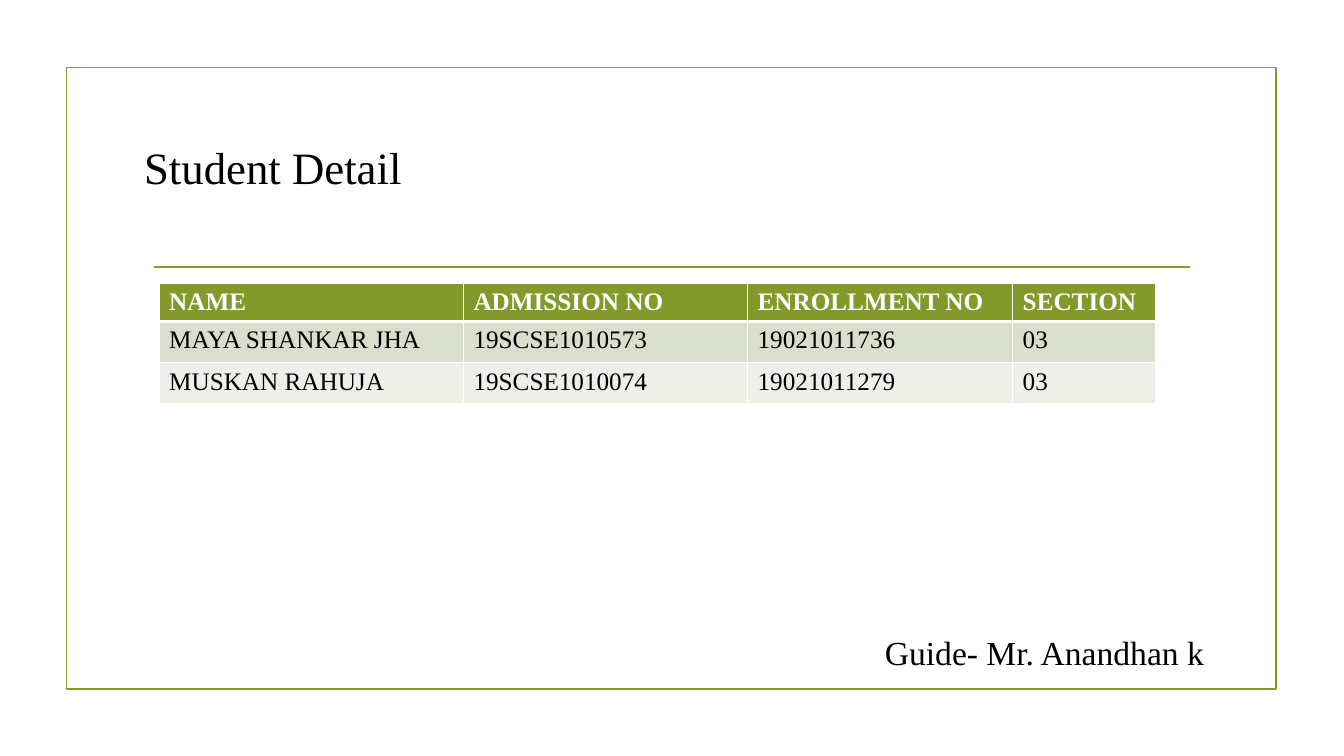
from lxml import etree
from pptx import Presentation
from pptx.dml.color import RGBColor
from pptx.enum.shapes import MSO_CONNECTOR, MSO_SHAPE
from pptx.enum.text import MSO_AUTO_SIZE, PP_ALIGN
from pptx.oxml.ns import qn
from pptx.util import Cm, Pt

RECTANGLE = MSO_SHAPE.RECTANGLE
STRAIGHT = MSO_CONNECTOR.STRAIGHT
FIT_SHAPE = MSO_AUTO_SIZE.SHAPE_TO_FIT_TEXT
LEFT, CENTER = PP_ALIGN.LEFT, PP_ALIGN.CENTER

COLORS = {
    "green": "83992A",
    "band_dark": "D9DECD",
    "band_light": "EDEFE8",
    "white": "FFFFFF",
    "black": "000000",
}

STUDENTS = [
    ["NAME", "ADMISSION NO", "ENROLLMENT NO", "SECTION"],
    ["MAYA SHANKAR JHA", "19SCSE1010573", "19021011736", "03"],
    ["MUSKAN RAHUJA", "19SCSE1010074", "19021011279", "03"],
]
COLUMN_WIDTHS = [7.67, 7.16, 6.68, 3.61]
ROW_HEIGHTS = [0.94, 1.04, 1.04]


def rgb(name):
    return RGBColor.from_string(COLORS[name])


def write_text(frame, text, size=18, color="black", bold=False, align=LEFT):
    para = frame.paragraphs[0]
    para.alignment = align
    span = para.add_run()
    span.text = text
    span.font.name = "Times New Roman"
    span.font.size = Pt(size)
    span.font.bold = bold
    span.font.color.rgb = rgb(color)


def set_borders(cell, color="white", width=1, bottom=1):
    properties = cell._tc.get_or_add_tcPr()
    for side in ("L", "R", "T", "B"):
        points = bottom if side == "B" else width
        line = etree.SubElement(properties, qn(f"a:ln{side}"), w=str(Pt(points)))
        fill = etree.SubElement(line, qn("a:solidFill"))
        etree.SubElement(fill, qn("a:srgbClr"), val=COLORS[color])


class SlideBuilder:
    def __init__(self, slide, accent="green", line_width=1.25):
        self.slide = slide
        self.accent = accent
        self.line_width = line_width

    def style_line(self, line):
        line.color.rgb = rgb(self.accent)
        line.width = Pt(self.line_width)

    def frame(self, left, top, width, height):
        box = self.slide.shapes.add_shape(
            RECTANGLE, Cm(left), Cm(top), Cm(width), Cm(height))
        box.shadow.inherit = False
        box.fill.background()
        self.style_line(box.line)

    def rule(self, left, right, y):
        rule = self.slide.shapes.add_connector(
            STRAIGHT, Cm(left), Cm(y), Cm(right), Cm(y))
        self.style_line(rule.line)
        etree.SubElement(rule._element.spPr, qn("a:effectLst"))

    def text(self, text, left, top, width, height, **style):
        box = self.slide.shapes.add_textbox(
            Cm(left), Cm(top), Cm(width), Cm(height))
        box.text_frame.word_wrap = False
        box.text_frame.auto_size = FIT_SHAPE
        write_text(box.text_frame, text, **style)

    def table(self, rows, left, top, widths, heights):
        table = self.slide.shapes.add_table(
            len(rows), len(widths), Cm(left), Cm(top),
            Cm(sum(widths)), Cm(sum(heights))).table
        for column, width in zip(table.columns, widths):
            column.width = Cm(width)
        for row, height in zip(table.rows, heights):
            row.height = Cm(height)
        for r, values in enumerate(rows):
            header = r == 0
            band = "band_dark" if r % 2 else "band_light"
            for c, value in enumerate(values):
                cell = table.cell(r, c)
                # The heavy rule under the header is shared with the row below.
                set_borders(cell, bottom=3 if header else 1)
                cell.fill.solid()
                cell.fill.fore_color.rgb = rgb(self.accent if header else band)
                write_text(cell.text_frame, value, bold=header,
                           color="white" if header else "black")


def main():
    deck = Presentation()
    deck.slide_width, deck.slide_height = Cm(33.87), Cm(19.05)
    page = SlideBuilder(deck.slides.add_slide(deck.slide_layouts[6]))
    page.frame(1.68, 1.7, 30.48, 15.67)
    page.rule(3.89, 30, 6.73)
    page.table(STUDENTS, 4.01, 7.14, COLUMN_WIDTHS, ROW_HEIGHTS)
    page.text("Student Detail", 3.35, 3.4, 7.06, 1.63, size=32, align=CENTER)
    page.text("Guide- Mr. Anandhan k", 22, 15.8, 8.64, 1.27, size=24, align=CENTER)
    deck.save("out.pptx")


if __name__ == "__main__":
    main()
